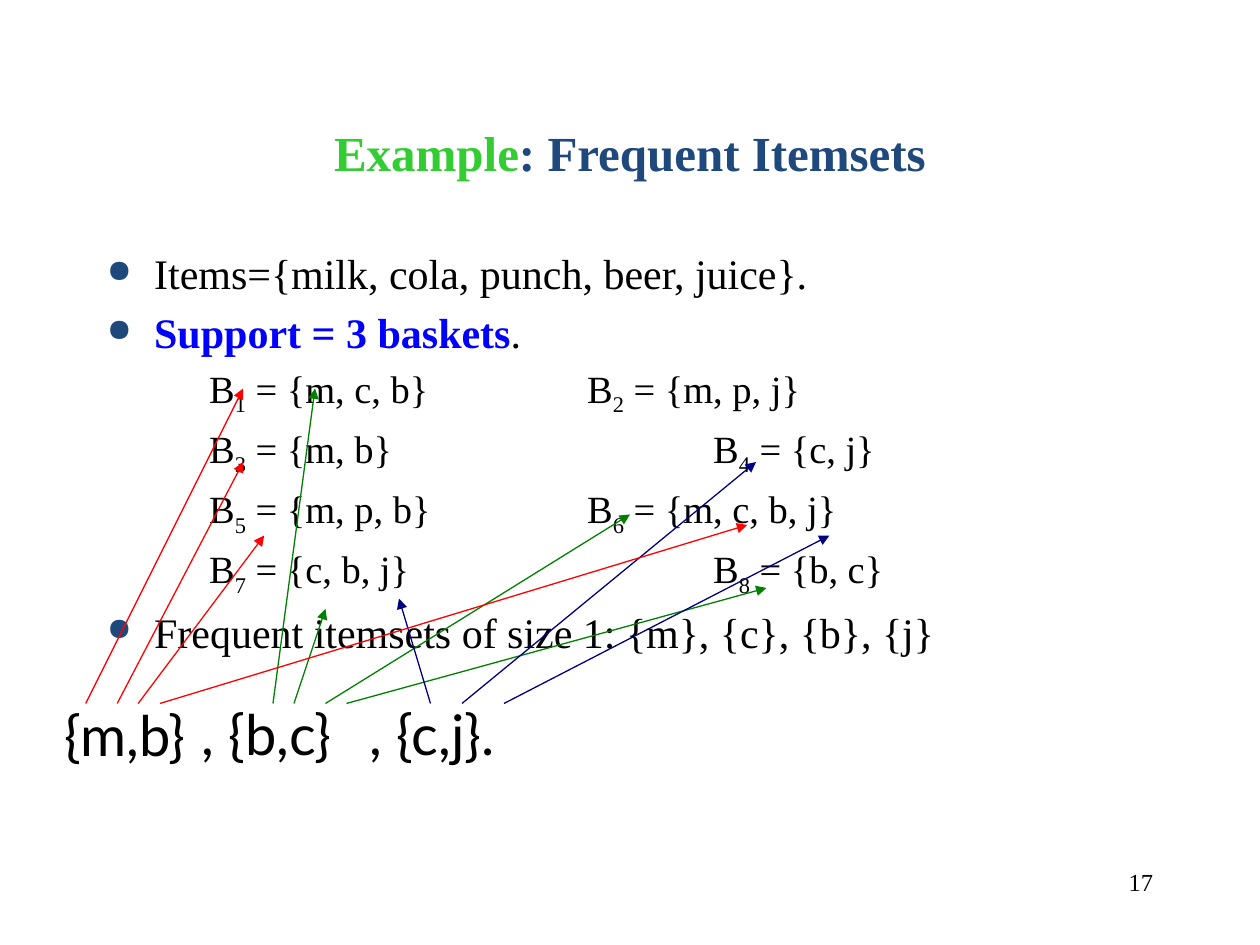
from lxml import etree
from pptx import Presentation
from pptx.dml.color import RGBColor
from pptx.enum.shapes import MSO_CONNECTOR
from pptx.enum.text import MSO_ANCHOR, MSO_AUTO_SIZE, PP_ALIGN
from pptx.oxml.ns import qn
from pptx.util import Pt

STRAIGHT = MSO_CONNECTOR.STRAIGHT
MIDDLE = MSO_ANCHOR.MIDDLE
FIT_SHAPE = MSO_AUTO_SIZE.SHAPE_TO_FIT_TEXT
CENTER, RIGHT = PP_ALIGN.CENTER, PP_ALIGN.RIGHT

BLACK = RGBColor(0x00, 0x00, 0x00)
DARK_BLUE = RGBColor(0x1F, 0x49, 0x7D)
LIME = RGBColor(0x33, 0xCC, 0x33)
BLUE = RGBColor(0x00, 0x00, 0xFF)
GREEN = RGBColor(0x00, 0x80, 0x00)
NAVY = RGBColor(0x00, 0x00, 0x80)
RED = RGBColor(0xFF, 0x00, 0x00)

SERIF, SANS = "Times New Roman", "Lato"
ARROW_START_Y = 402
TAB_SIZE = 72

BASKET_ROWS = [
    ("1", "{m, c, b}\t\t", "2", "{m, p, j}"),
    ("3", "{m, b}\t\t\t", "4", "{c, j}"),
    ("5", "{m, p, b}\t\t", "6", "{m, c, b, j}"),
    ("7", "{c, b, j}\t\t\t", "8", "{b, c}"),
]

PAIRS = [
    (", {b,c}", (108, 396, 130, 45), GREEN,
     [(156, 180, 222), (168, 186, 348), (186, 360, 294), (198, 438, 336)]),
    (", {c,j}.", (204, 396, 108, 45), NAVY,
     [(246, 228, 342), (264, 432, 264), (288, 474, 306)]),
    ("{m,b}", (30, 397, 99, 45), RED,
     [(49, 139, 222), (67, 139, 264), (91.4, 427, 300), (79, 151, 306)]),
]


def add_box(shapes, left, top, width, height):
    s = shapes.add_textbox(Pt(left), Pt(top), Pt(width), Pt(height))
    s.text_frame.word_wrap = True
    return s.text_frame


def add_run(p, text, size, color=BLACK, bold=False, font=SERIF, subscript=False):
    r = p.add_run()
    r.text = text
    r.font.name = font
    r.font.size = Pt(size)
    r.font.bold = bold
    r.font.color.rgb = color
    if subscript:
        r._r.get_or_add_rPr().set("baseline", "-25000")


def set_indent(p, left, first):
    pPr = p._p.get_or_add_pPr()
    pPr.set("marL", str(Pt(left)))
    pPr.set("indent", str(Pt(first)))
    pPr.set("defTabSz", str(Pt(TAB_SIZE)))
    return pPr


def set_bullet(p):
    pPr = set_indent(p, 27, -27)
    color = etree.SubElement(pPr, qn("a:buClr"))
    etree.SubElement(color, qn("a:srgbClr"), val=str(DARK_BLUE))
    etree.SubElement(pPr, qn("a:buSzPct"), val="75000")
    etree.SubElement(pPr, qn("a:buChar"), char="●")


def add_bullet(tf, *runs):
    if tf.paragraphs[0].runs:
        p = tf.add_paragraph()
        p.space_before = Pt(4.8)
    else:
        p = tf.paragraphs[0]
    set_bullet(p)
    for text, color, bold in runs:
        add_run(p, text, 24, color, bold)


def add_basket_row(tf, left_no, left_set, right_no, right_set):
    p = tf.add_paragraph()
    p.level = 1
    p.space_before = Pt(4.4)
    etree.SubElement(set_indent(p, 58.5, -22.5), qn("a:buNone"))
    add_run(p, "\tB", 22)
    add_run(p, left_no, 22, subscript=True)
    add_run(p, f" = {left_set}B", 22)
    add_run(p, right_no, 22, subscript=True)
    add_run(p, f" = {right_set}", 22)


def add_arrow(shapes, x1, y1, x2, y2, color):
    s = shapes.add_connector(STRAIGHT, Pt(x1), Pt(y1), Pt(x2), Pt(y2))
    s.line.color.rgb = color
    s.line.width = Pt(0.75)
    etree.SubElement(s.line._get_or_add_ln(), qn("a:tailEnd"), type="triangle")
    etree.SubElement(s._element.spPr, qn("a:effectLst"))


def add_pair(slide, text, box, color, arrows):
    shapes = slide.shapes.add_group_shape().shapes
    tf = add_box(shapes, *box)
    tf.auto_size = FIT_SHAPE
    add_run(tf.paragraphs[0], text, 32, font=SANS)
    for start_x, end_x, end_y in arrows:
        add_arrow(shapes, start_x, ARROW_START_Y, end_x, end_y, color)


def add_page_number(slide):
    p = add_box(slide.shapes, 516, 492, 150, 36).paragraphs[0]
    p.alignment = RIGHT
    add_run(p, "17", 14)


def add_title(slide):
    tf = add_box(slide.shapes, 0, 42, 720, 90)
    tf.vertical_anchor = MIDDLE
    p = tf.paragraphs[0]
    p.alignment = CENTER
    add_run(p, "Example", 28, LIME, True)
    add_run(p, ": Frequent Itemsets", 28, DARK_BLUE, True)


def add_body(slide):
    tf = add_box(slide.shapes, 54, 138, 612, 312)
    add_bullet(tf, ("Items={milk, cola, punch, beer, juice}.", BLACK, False))
    add_bullet(tf, ("Support = 3 baskets", BLUE, True), (".", BLACK, False))
    for row in BASKET_ROWS:
        add_basket_row(tf, *row)
    add_bullet(tf, ("Frequent itemsets of size 1: {m}, {c}, {b}, {j}", BLACK, False))


def main():
    prs = Presentation()
    prs.slide_width, prs.slide_height = Pt(720), Pt(540)
    slide = prs.slides.add_slide(prs.slide_layouts[6])
    add_page_number(slide)
    add_title(slide)
    add_body(slide)
    for pair in PAIRS:
        add_pair(slide, *pair)
    prs.save("out.pptx")


if __name__ == "__main__":
    main()
